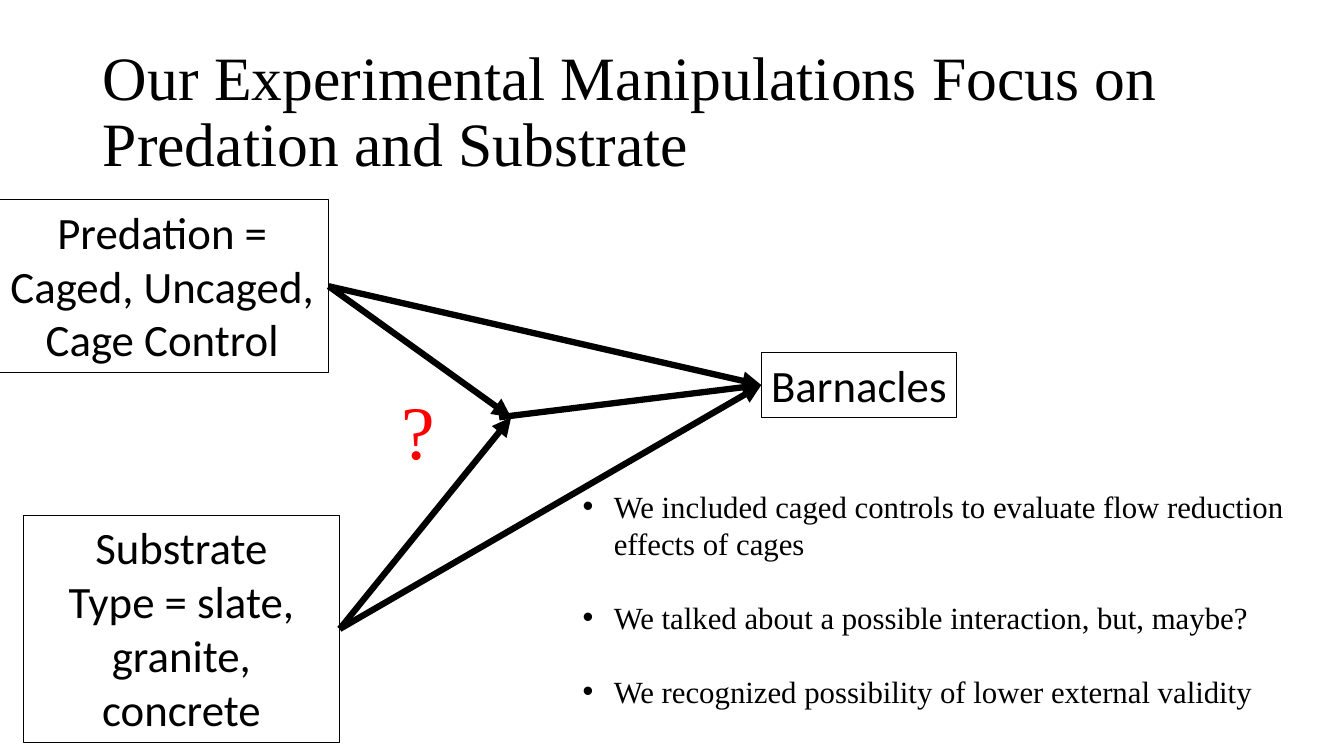
from lxml.etree import SubElement
from pptx import Presentation
from pptx.dml.color import RGBColor
from pptx.enum.shapes import MSO_CONNECTOR, MSO_SHAPE
from pptx.enum.text import MSO_ANCHOR, MSO_AUTO_SIZE, PP_ALIGN
from pptx.oxml.ns import qn
from pptx.util import Inches, Pt

BLACK = RGBColor(0x00, 0x00, 0x00)
RED = RGBColor(0xFF, 0x00, 0x00)
SERIF, SANS = "Times New Roman", "Calibri"

TITLE = "Our Experimental Manipulations Focus on Predation and Substrate"
# name: (text, (left, top, width, height), wraps)
BOXES = {
    "barnacles": ("Barnacles", (7.55, 3.5, 1.94, 0.64), False),
    "substrate": ("Substrate\nType = slate, granite, concrete", (0.23, 5.11, 3.14, 2.26), True),
    "predation": ("Predation = Caged, Uncaged, Cage Control", (-0.04, 1.98, 3.3, 1.72), True),
}
INTERACTION = (5.07, 4.14)
INTERACTION_START = (4.95, 4.14)
# Each end is a box name or a point
ARROWS = [
    ("predation", "barnacles"),
    ("substrate", "barnacles"),
    ("predation", INTERACTION),
    ("substrate", INTERACTION),
    (INTERACTION_START, "barnacles"),
]
NOTES = [
    "We included caged controls to evaluate flow reduction effects of cages",
    "We talked about a possible interaction, but, maybe?",
    "We recognized possibility of lower external validity",
]
NOTE_LINE = Pt(26.4)
LEFT_SIDE, RIGHT_SIDE = 1, 3


def write(shape, text, font, size, color, alignment=PP_ALIGN.LEFT, wrap=True):
    frame = shape.text_frame
    frame.text = text
    frame.word_wrap = wrap
    for paragraph in frame.paragraphs:
        paragraph.alignment = alignment
        for run in paragraph.runs:
            run.font.name = font
            run.font.size = Pt(size)
            run.font.color.rgb = color
    return frame


def add_box(slide, text, place, wrap):
    box = slide.shapes.add_shape(MSO_SHAPE.RECTANGLE, *map(Inches, place))
    box.shadow.inherit = False
    box.fill.background()
    box.line.color.rgb = BLACK
    box.line.width = Pt(0.75)
    frame = write(box, text, SANS, 32, BLACK, PP_ALIGN.CENTER, wrap)
    frame.vertical_anchor = MSO_ANCHOR.TOP
    frame.auto_size = MSO_AUTO_SIZE.SHAPE_TO_FIT_TEXT
    return box


def add_arrow(slide, boxes, start, end):
    start_point = (0, 0) if start in boxes else start
    end_point = (0, 0) if end in boxes else end
    arrow = slide.shapes.add_connector(
        MSO_CONNECTOR.STRAIGHT, *map(Inches, start_point + end_point))
    if start in boxes:
        arrow.begin_connect(boxes[start], RIGHT_SIDE)
    if end in boxes:
        arrow.end_connect(boxes[end], LEFT_SIDE)
    arrow.line.color.rgb = BLACK
    arrow.line.width = Pt(4.5)
    SubElement(arrow.line._get_or_add_ln(), qn("a:tailEnd"), type="triangle")
    SubElement(arrow._element.spPr, qn("a:effectLst"))


def add_text(slide, place, text, size, color, wrap):
    text_box = slide.shapes.add_textbox(*map(Inches, place))
    frame = write(text_box, text, SERIF, size, color, wrap=wrap)
    return frame


def add_bullet(paragraph):
    properties = paragraph._p.get_or_add_pPr()
    properties.set("marL", str(Inches(0.31)))
    properties.set("indent", str(-Inches(0.31)))
    SubElement(properties, qn("a:buFont"), typeface="Arial")
    SubElement(properties, qn("a:buChar"), char="•")


def main():
    presentation = Presentation()
    presentation.slide_width = Inches(13.33)
    presentation.slide_height = Inches(7.5)
    slide = presentation.slides.add_slide(presentation.slide_layouts[5])

    title = slide.shapes.title
    title.left, title.top, title.width, title.height = map(Inches, (0.92, 0.4, 11.5, 1.45))
    frame = write(title, TITLE, SERIF, 44, BLACK)
    frame.vertical_anchor = MSO_ANCHOR.MIDDLE
    frame.auto_size = MSO_AUTO_SIZE.NONE
    frame.paragraphs[0].line_spacing = 0.9

    boxes = {name: add_box(slide, *box) for name, box in BOXES.items()}
    for start, end in ARROWS:
        add_arrow(slide, boxes, start, end)

    add_text(slide, (3.88, 3.76, 0.57, 1.01), "?", 54, RED, False)
    notes = add_text(slide, (5.68, 4.79, 7.51, 2.69), "\n".join(NOTES), 22, BLACK, True)
    for index, paragraph in enumerate(notes.paragraphs):
        paragraph.line_spacing = NOTE_LINE
        if index:
            paragraph.space_before = NOTE_LINE
        add_bullet(paragraph)

    presentation.save("out.pptx")


if __name__ == "__main__":
    main()
